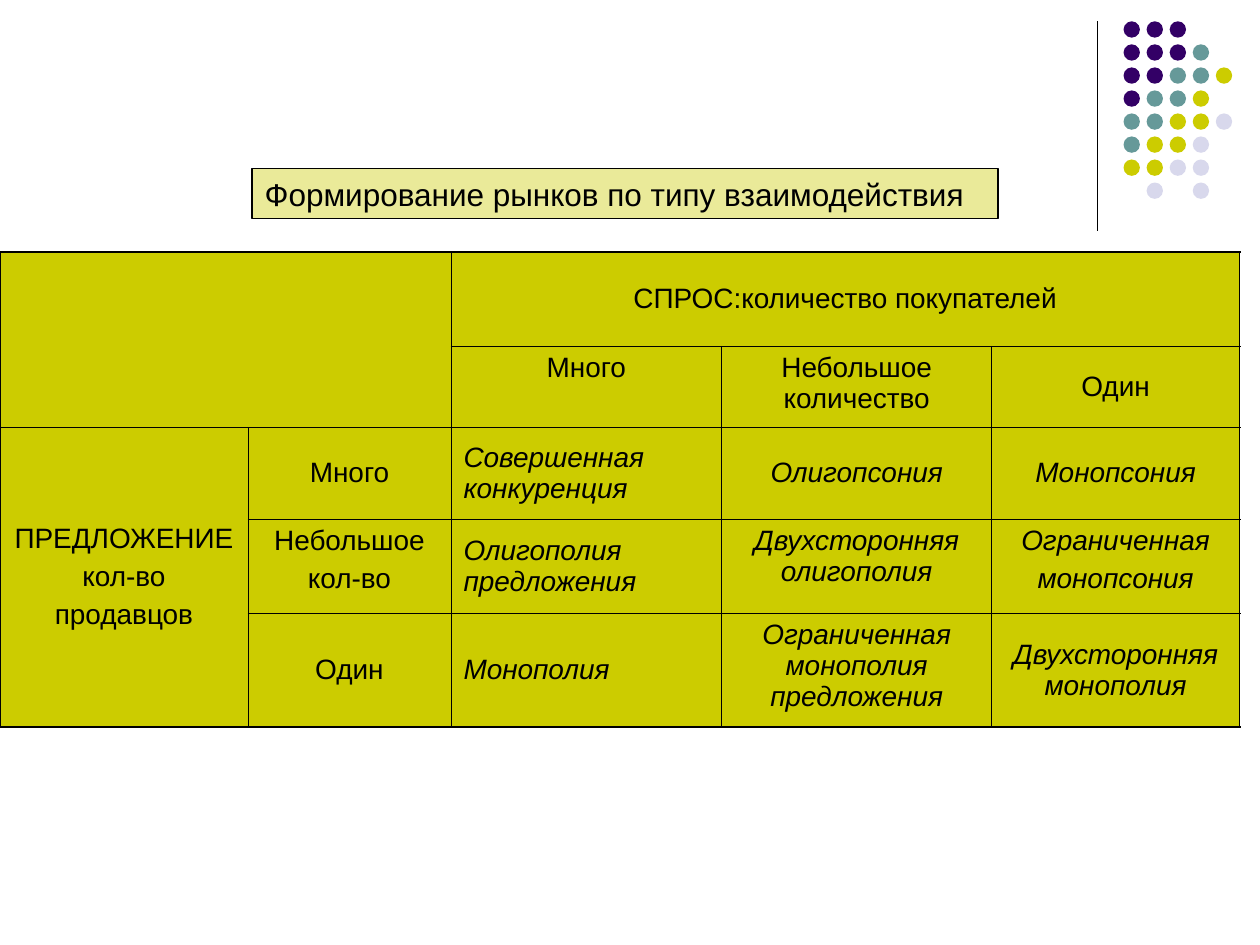
from lxml import etree
from pptx import Presentation
from pptx import util as u
from pptx.dml.color import RGBColor
from pptx.enum import shapes, text
from pptx.oxml import ns

BLACK = RGBColor(0x00, 0x00, 0x00)
OLIVE = RGBColor(0xCC, 0xCC, 0x00)
PURPLE = RGBColor(0x33, 0x00, 0x66)
TEAL = RGBColor(0x66, 0x99, 0x99)
LILAC = RGBColor(0xD8, 0xD8, 0xEC)

FONT = "Arial"
MID, TOP = text.MSO_ANCHOR.MIDDLE, text.MSO_ANCHOR.TOP
LEFT, MIDDLE = text.PP_ALIGN.LEFT, text.PP_ALIGN.CENTER
THIN, THICK = 0.45, 1.08

DOTS = ["PPP", "PPPT", "PPTTO", "PTTO", "TTOOL", "TOOL", "OOLL", " L L"]
TINTS = {"P": PURPLE, "T": TEAL, "O": OLIVE, "L": LILAC}

COLS = [5, 4.09, 5.46, 5.44, 5]
ROWS = [1.9, 1.63, 1.85, 1.9, 2.29]
SPANS = [(0, 0, 1, 1), (0, 2, 0, 4), (2, 0, 4, 0)]
HIGH = {(1, 2), (1, 3), (3, 1), (3, 3), (3, 4), (4, 3)}
CELLS = [
    ["", "", "СПРОС:количество покупателей", "", ""],
    ["", "", "Много", "Небольшое количество", "Один"],
    ["ПРЕДЛОЖЕНИЕ\nкол-во\nпродавцов", "Много", "Совершенная конкуренция",
     "Олигопсония", "Монопсония"],
    ["", "Небольшое\nкол-во", "Олигополия предложения",
     "Двухсторонняя олигополия", "Ограниченная\nмонопсония"],
    ["", "Один", "Монополия", "Ограниченная монополия предложения",
     "Двухсторонняя монополия"],
]


def style(item, **attrs):
    for name, value in attrs.items():
        setattr(item, name, value)


def place(item, box):
    sides = ("left", "top", "width", "height")
    style(item, **{side: u.Cm(size) for side, size in zip(sides, box)})


def write(frame, words, size, align, slant=False, gap=0):
    frame.text = words
    for para in frame.paragraphs:
        style(para, alignment=align, space_before=u.Pt(gap))
        style(para.font, name=FONT, size=u.Pt(size), italic=slant)
        para.font.color.rgb = BLACK


def edge(cell, widths):
    props = cell._tc.get_or_add_tcPr()
    for side, width in zip("LRTB", widths):
        line = etree.SubElement(props, ns.qn(f"a:ln{side}"), w=str(u.Pt(width)))
        fill = etree.SubElement(line, ns.qn("a:solidFill"))
        etree.SubElement(fill, ns.qn("a:srgbClr"), val=str(BLACK))


def add_mark(slide, box):
    left, top, wide, high = box
    # Vertical rule
    rule = slide.shapes.add_connector(
        shapes.MSO_CONNECTOR.STRAIGHT,
        u.Cm(left), u.Cm(top), u.Cm(left), u.Cm(top + high))
    style(rule.line, width=u.Pt(0.75))
    rule.line.color.rgb = BLACK
    etree.SubElement(rule._element.spPr, ns.qn("a:effectLst"))
    # Dots in an even grid, right of the rule
    size, inset, drop = 0.33, 0.53, 0.65
    step_x = (wide - inset - size) / 4
    step_y = (high - drop - size) / (len(DOTS) - 1)
    group = slide.shapes.add_group_shape()
    for row, codes in enumerate(DOTS):
        for col, code in enumerate(codes):
            if code not in TINTS:
                continue
            dot = group.shapes.add_shape(
                shapes.MSO_SHAPE.OVAL,
                u.Cm(left + inset + col * step_x), u.Cm(top + row * step_y),
                u.Cm(size), u.Cm(size))
            dot.fill.solid()
            dot.fill.fore_color.rgb = TINTS[code]
            dot.line.fill.background()
            dot.shadow.inherit = False


def add_title(slide, box):
    title = slide.shapes.title
    place(title, box)
    title.fill.solid()
    title.fill.fore_color.rgb = OLIVE
    tint = title._element.spPr.find(".//" + ns.qn("a:srgbClr"))
    etree.SubElement(tint, ns.qn("a:alpha"), val="40000")
    title.line.width = u.Pt(0.75)
    title.line.color.rgb = BLACK
    frame = title.text_frame
    style(frame, word_wrap=True, vertical_anchor=MID,
          auto_size=text.MSO_AUTO_SIZE.NONE)
    write(frame, "Формирование рынков по типу взаимодействия", 18, LEFT)


def add_grid(slide, box):
    table = slide.shapes.add_table(
        len(ROWS), len(COLS), *(u.Cm(size) for size in box)).table
    style(table, first_row=False, horz_banding=False)
    for col, size in zip(table.columns, COLS):
        col.width = u.Cm(size)
    for row, size in zip(table.rows, ROWS):
        row.height = u.Cm(size)
    for r1, c1, r2, c2 in SPANS:
        table.cell(r1, c1).merge(table.cell(r2, c2))
    for r, line in enumerate(CELLS):
        for c, words in enumerate(line):
            cell = table.cell(r, c)
            if cell.is_spanned:
                continue
            # Thick lines only on the outer frame
            outer = (c == 0, c + cell.span_width == len(COLS),
                     r == 0, r + cell.span_height == len(ROWS))
            edge(cell, [THICK if side else THIN for side in outer])
            cell.fill.solid()
            cell.fill.fore_color.rgb = OLIVE
            cell.vertical_anchor = TOP if (r, c) in HIGH else MID
            # Market types are in italics, the first column of them at left
            market = r > 1 and c > 1
            align = LEFT if market and c == 2 else MIDDLE
            write(cell.text_frame, words, 16, align, market, 4)


def main():
    deck = Presentation()
    style(deck, slide_width=u.Cm(25.4), slide_height=u.Cm(19.05))
    slide = deck.slides.add_slide(deck.slide_layouts[5])
    add_mark(slide, (22.12, 0.43, 2.72, 4.23))
    add_grid(slide, (0, 5.08, sum(COLS), sum(ROWS)))
    add_title(slide, (5.08, 3.39, 15.04, 1.02))
    deck.save("out.pptx")


if __name__ == "__main__":
    main()
